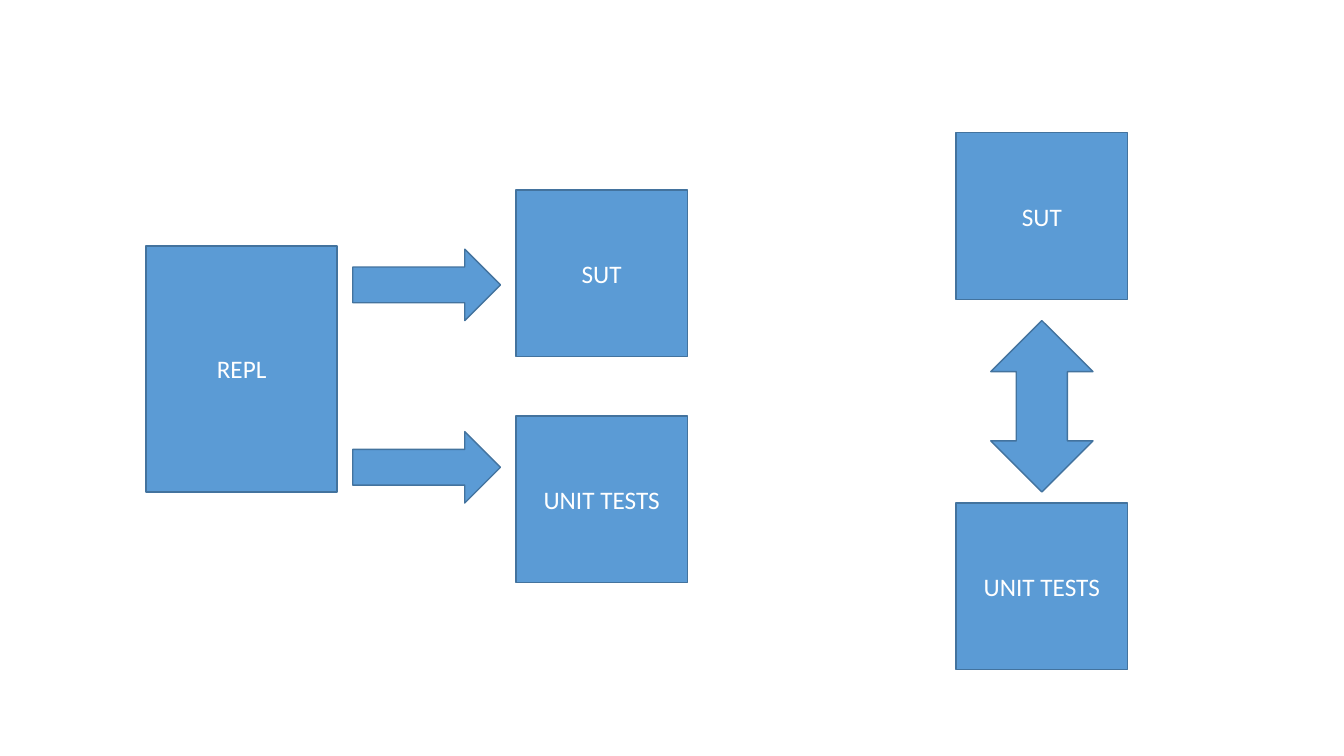
from dataclasses import dataclass

from pptx import Presentation
from pptx.dml.color import RGBColor
from pptx.enum.shapes import MSO_SHAPE
from pptx.enum.text import MSO_ANCHOR, PP_ALIGN
from pptx.util import Pt


@dataclass(frozen=True)
class Theme:
    fill: RGBColor = RGBColor(0x5B, 0x9B, 0xD5)
    line: RGBColor = RGBColor(0x43, 0x73, 0x9E)
    text: RGBColor = RGBColor(0xFF, 0xFF, 0xFF)
    font: str = "Calibri"
    size: int = 18
    line_width: int = 1


theme = Theme()
prs = Presentation()
prs.slide_width, prs.slide_height = Pt(960), Pt(540)
s = prs.slides.add_slide(prs.slide_layouts[6])


def write(sp, text, size=theme.size, color=theme.text, align=PP_ALIGN.CENTER):
    tf = sp.text_frame
    tf.word_wrap = True
    tf.vertical_anchor = MSO_ANCHOR.MIDDLE
    p = tf.paragraphs[0]
    p.alignment = align
    r = p.add_run()
    r.text = text
    r.font.name = theme.font
    r.font.size = Pt(size)
    r.font.color.rgb = color


def add_block(kind, left, top, width, height):
    """Add a preset shape in the theme's fill and outline, lengths in points."""
    sp = s.shapes.add_shape(kind, Pt(left), Pt(top), Pt(width), Pt(height))
    sp.shadow.inherit = False
    sp.fill.solid()
    sp.fill.fore_color.rgb = theme.fill
    sp.line.color.rgb = theme.line
    sp.line.width = Pt(theme.line_width)
    return sp


box_w, box_h = 122.4, 119
left_x, right_x = 368.6, 683

# REPL driving both the system under test and its tests
write(add_block(MSO_SHAPE.RECTANGLE, 104.4, 175.6, 136.4, 175.8), "REPL")
for text, top in (("SUT", 135.8), ("UNIT TESTS", 297.2)):
    write(add_block(MSO_SHAPE.RECTANGLE, left_x, top, box_w, box_h), text)
for top in (178, 308.3):
    add_block(MSO_SHAPE.RIGHT_ARROW, 252, top, 105.5, 51)

# System under test and tests facing each other
for text, top in (("SUT", 94.8), ("UNIT TESTS", 359.2)):
    write(add_block(MSO_SHAPE.RECTANGLE, right_x, top, box_w, box_h), text)
arrow_w = 73
add_block(MSO_SHAPE.UP_DOWN_ARROW, right_x + (box_w - arrow_w) / 2, 229, arrow_w, 122.4)

prs.save("out.pptx")
